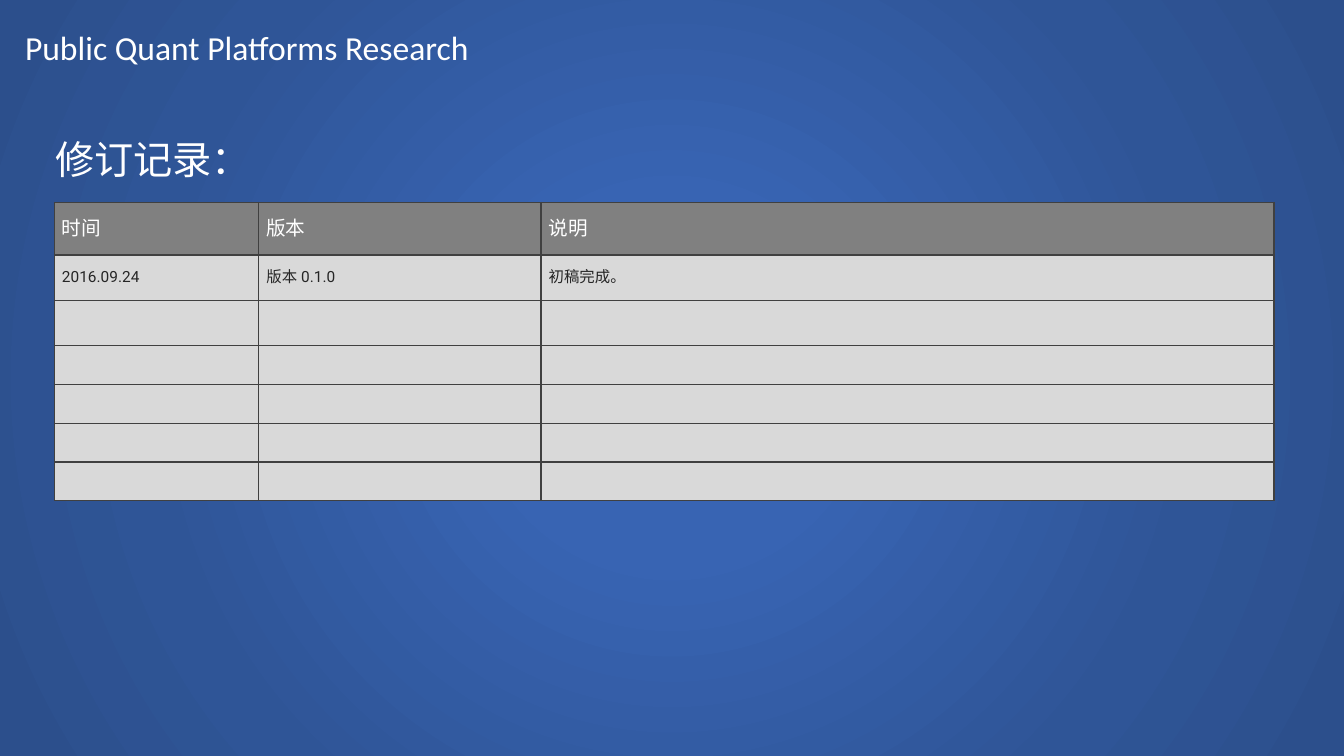
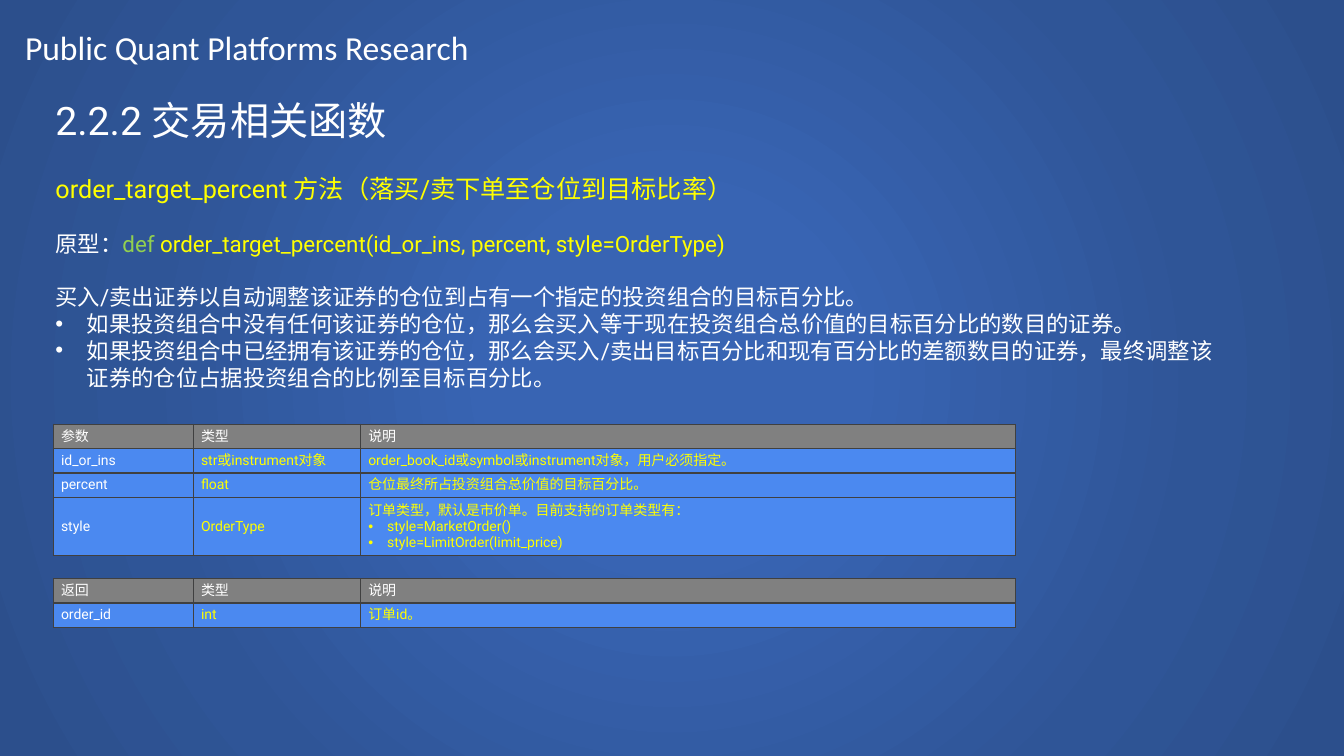
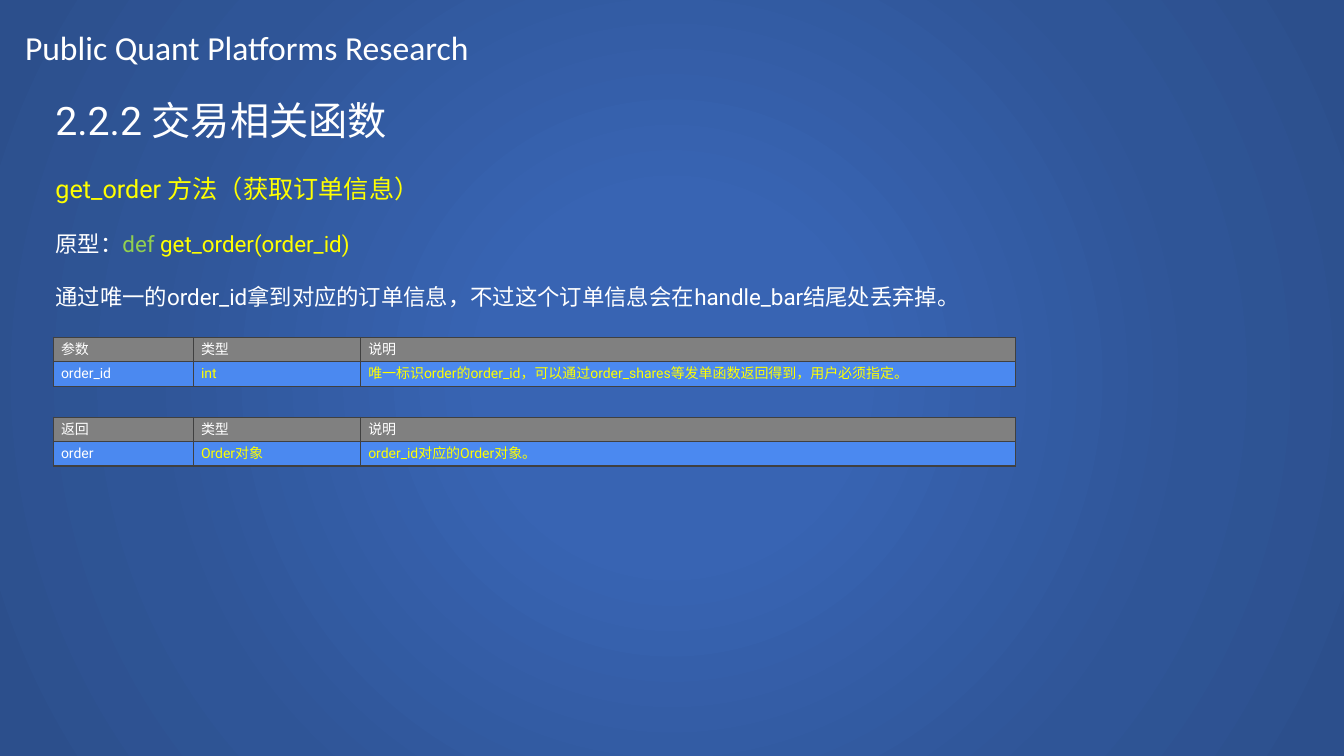
import pptx
import pptx.dml.color
import pptx.enum.text
import pptx.oxml
import pptx.oxml.ns
import pptx.util
import lxml.etree

Pt = pptx.util.Pt
qn = pptx.oxml.ns.qn
MSO_ANCHOR = pptx.enum.text.MSO_ANCHOR

WHITE, YELLOW, GREEN, DARK = "FFFFFF", "FFFF00", "92D050", "262626"
HEADER_FILL, BORDER = "808080", "404040"
BACKGROUND_STOPS = [(0, "3864B3"), (23, "3864B3"), (69, "2F5597"), (97, "2C4F8C")]
TEXT_LEFT, TEXT_WIDTH = 32.4, 847.4
BLANK_LINE = 18.75

REVISION = {"left": 38.9, "widths": [146, 201.6, 523.6], "header_size": 14, "size": 11,
            "fill": "D9D9D9", "colors": [DARK, DARK, DARK]}
REFERENCE = {"left": 38.2, "widths": [100, 119.5, 467.5], "header_size": 10, "size": 10,
             "fill": "4B89F0", "colors": [WHITE, YELLOW, YELLOW]}
ROW = 17.3


def color(hex_string):
    return pptx.dml.color.RGBColor.from_string(hex_string)


def write(paragraph, runs, size, font="Roboto", bullet_indent=0, space_before=0):
    """Fill a paragraph with (text, colour) runs, bulleted when bullet_indent is set."""
    properties = paragraph._p.get_or_add_pPr()
    properties.set("marL", str(Pt(bullet_indent)))
    properties.set("indent", str(-Pt(bullet_indent)))
    if bullet_indent:
        lxml.etree.SubElement(properties, qn("a:buFont")).set("typeface", "Arial")
        lxml.etree.SubElement(properties, qn("a:buChar")).set("char", "•")
    else:
        lxml.etree.SubElement(properties, qn("a:buNone"))
    paragraph.alignment = pptx.enum.text.PP_ALIGN.LEFT
    paragraph.space_before = Pt(space_before)
    for text, run_color in runs:
        run = paragraph.add_run()
        run.text = text
        for name, value in {"size": Pt(size), "name": font, "bold": False}.items():
            setattr(run.font, name, value)
        run.font.color.rgb = color(run_color)
        lxml.etree.SubElement(run._r.get_or_add_rPr(), qn("a:ea")).set("typeface", font)


pages = [
    {
        "title": "修订记录：",
        "title_top": 92.9,
        "tables": [
            {"style": REVISION, "top": 144.7,
             "heights": [37.4, 32.4, 32.4] + [27.7] * 4,
             "rows": [["时间", "版本", "说明"],
                      ["2016.09.24", "版本 0.1.0", "初稿完成。"]] + [["", "", ""]] * 5},
        ],
    },
    {
        "title": "2.2.2 交易相关函数",
        "title_top": 65.5,
        "method": "order_target_percent 方法（落买/卖下单至仓位到目标比率）",
        "signature": "order_target_percent(id_or_ins, percent, style=OrderType)",
        "description": "买入/卖出证券以自动调整该证券的仓位到占有一个指定的投资组合的目标百分比。",
        "bullets": [
            "如果投资组合中没有任何该证券的仓位，那么会买入等于现在投资组合总价值的目标百分比的数目的证券。",
            "如果投资组合中已经拥有该证券的仓位，那么会买入/卖出目标百分比和现有百分比的差额数目的证券，"
            "最终调整该证券的仓位占据投资组合的比例至目标百分比。",
        ],
        "body_height": 188,
        "tables": [
            {"style": REFERENCE, "top": 303, "heights": [ROW, ROW, ROW, 41.7],
             "rows": [["参数", "类型", "说明"],
                      ["id_or_ins", "str或instrument对象",
                       "order_book_id或symbol或instrument对象，用户必须指定。"],
                      ["percent", "float", "仓位最终所占投资组合总价值的目标百分比。"],
                      ["style", "OrderType",
                       "订单类型，默认是市价单。目前支持的订单类型有：\n"
                       "style=MarketOrder()\nstyle=LimitOrder(limit_price)"]]},
            {"style": REFERENCE, "top": 413.3, "heights": [ROW, ROW],
             "rows": [["返回", "类型", "说明"], ["order_id", "int", "订单id。"]]},
        ],
    },
    {
        "title": "2.2.2 交易相关函数",
        "title_top": 65.5,
        "method": "get_order 方法（获取订单信息）",
        "signature": "get_order(order_id)",
        "description": "通过唯一的order_id拿到对应的订单信息，不过这个订单信息会在handle_bar结尾处丢弃掉。",
        "bullets": [],
        "body_height": 132,
        "tables": [
            {"style": REFERENCE, "top": 241, "heights": [ROW, ROW],
             "rows": [["参数", "类型", "说明"],
                      ["order_id", "int",
                       "唯一标识order的order_id，可以通过order_shares等发单函数返回得到，用户必须指定。"]]},
            {"style": REFERENCE, "top": 298, "heights": [ROW, ROW],
             "rows": [["返回", "类型", "说明"], ["order", "Order对象", "order_id对应的Order对象。"]]},
        ],
    },
]

presentation = pptx.Presentation()
presentation.slide_width, presentation.slide_height = Pt(960), Pt(540)

# Radial background shared through the master
master = presentation.slide_master
master.background.fill.gradient()
gradient = master._element.find(".//" + qn("a:gradFill"))
stops = "".join(f'<a:gs pos="{position * 1000}"><a:srgbClr val="{value}"/></a:gs>'
                for position, value in BACKGROUND_STOPS)
gradient.getparent().replace(gradient, pptx.oxml.parse_xml(
    f'<a:gradFill {pptx.oxml.ns.nsdecls("a")} rotWithShape="1"><a:gsLst>{stops}</a:gsLst>'
    '<a:path path="circle"><a:fillToRect l="50000" t="50000" r="50000" b="50000"/></a:path>'
    '</a:gradFill>'))

for page in pages:
    layout_name = "Title and Content" if "method" in page else "Title Only"
    slide = presentation.slides.add_slide(presentation.slide_layouts.get_by_name(layout_name))

    running_head = slide.shapes.add_textbox(Pt(10.8), Pt(15.8), Pt(363), Pt(36))
    running_head.text_frame.word_wrap = True
    write(running_head.text_frame.paragraphs[0],
          [("Public Quant Platforms Research", WHITE)], 24, "Calibri")

    title = slide.shapes.title
    text_areas = [(title, page["title_top"], 41)]
    write(title.text_frame.paragraphs[0], [(page["title"], WHITE)], 28)

    if "method" in page:
        body = slide.placeholders[1]
        text_areas.append((body, 120.4, page["body_height"]))
        frame = body.text_frame
        write(frame.paragraphs[0], [(page["method"], YELLOW)], 18)
        write(frame.add_paragraph(),
              [("原型：", WHITE), ("def ", GREEN), (page["signature"], YELLOW)],
              16, space_before=BLANK_LINE)
        write(frame.add_paragraph(), [(page["description"], WHITE)], 16, space_before=BLANK_LINE)
        for bullet in page["bullets"]:
            write(frame.add_paragraph(), [(bullet, WHITE)], 16, bullet_indent=22.5)

    for shape, top, height in text_areas:
        bounds = {"left": TEXT_LEFT, "top": top, "width": TEXT_WIDTH, "height": height}
        for name, value in bounds.items():
            setattr(shape, name, Pt(value))
        shape.text_frame.vertical_anchor = MSO_ANCHOR.TOP
        shape.text_frame.auto_size = pptx.enum.text.MSO_AUTO_SIZE.NONE

    for content in page["tables"]:
        style, heights, rows = content["style"], content["heights"], content["rows"]
        table = slide.shapes.add_table(
            len(rows), len(style["widths"]), Pt(style["left"]), Pt(content["top"]),
            Pt(sum(style["widths"])), Pt(sum(heights))).table
        table.horz_banding = False
        for column, width in zip(table.columns, style["widths"]):
            column.width = Pt(width)
        for row_index, texts in enumerate(rows):
            table.rows[row_index].height = Pt(heights[row_index])
            is_header = row_index == 0
            for column_index, text in enumerate(texts):
                cell = table.cell(row_index, column_index)
                cell_format = {"margin_left": Pt(5.4), "margin_right": Pt(5.4),
                               "margin_top": Pt(2.7), "margin_bottom": Pt(2.7),
                               "vertical_anchor": MSO_ANCHOR.MIDDLE}
                for name, value in cell_format.items():
                    setattr(cell, name, value)
                for side in ("lnL", "lnR", "lnT", "lnB"):
                    line = lxml.etree.SubElement(
                        cell._tc.get_or_add_tcPr(), qn("a:" + side), w=str(Pt(1)))
                    line_fill = lxml.etree.SubElement(line, qn("a:solidFill"))
                    lxml.etree.SubElement(line_fill, qn("a:srgbClr"), val=BORDER)
                cell.fill.solid()
                cell.fill.fore_color.rgb = color(HEADER_FILL if is_header else style["fill"])
                if not text:
                    continue
                text_color = WHITE if is_header else style["colors"][column_index]
                size = style["header_size"] if is_header else style["size"]
                first_line, *list_lines = text.split("\n")
                write(cell.text_frame.paragraphs[0], [(first_line, text_color)], size)
                for list_line in list_lines:
                    write(cell.text_frame.add_paragraph(), [(list_line, text_color)], size,
                          bullet_indent=13.5)

presentation.save("out.pptx")
